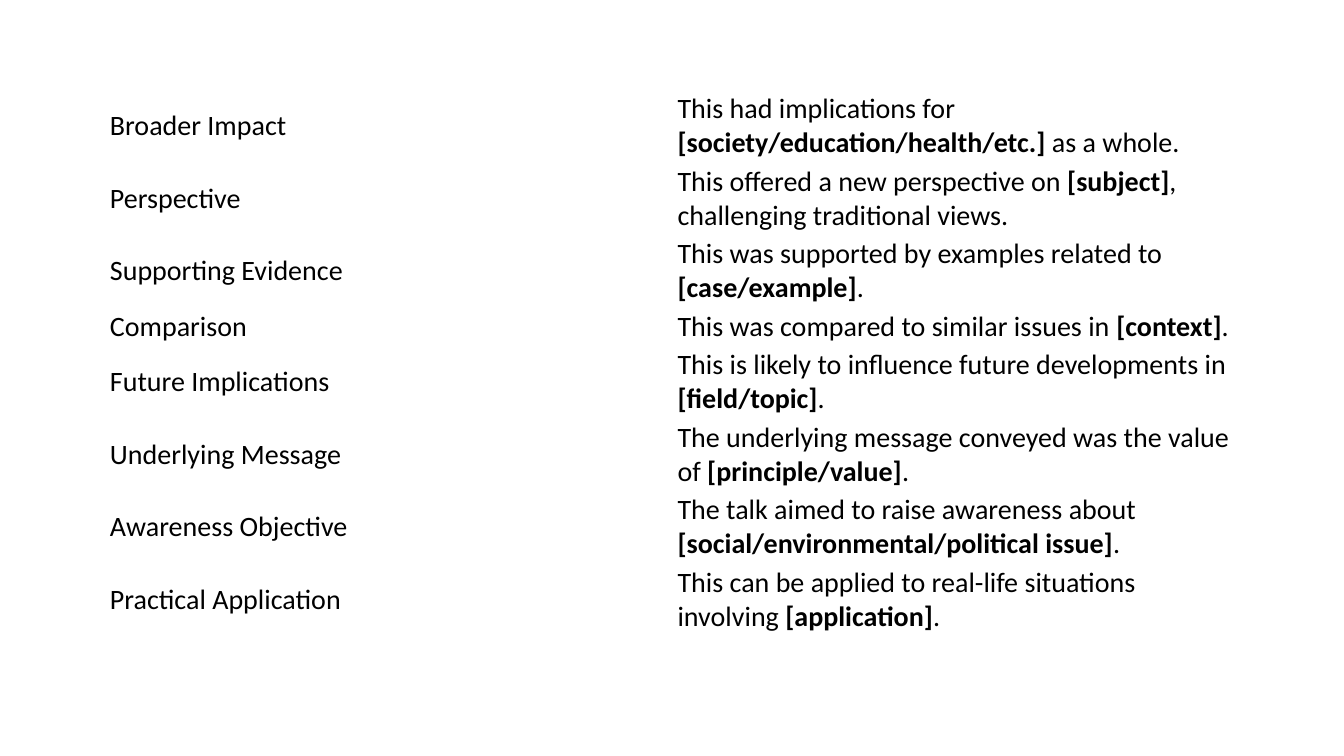
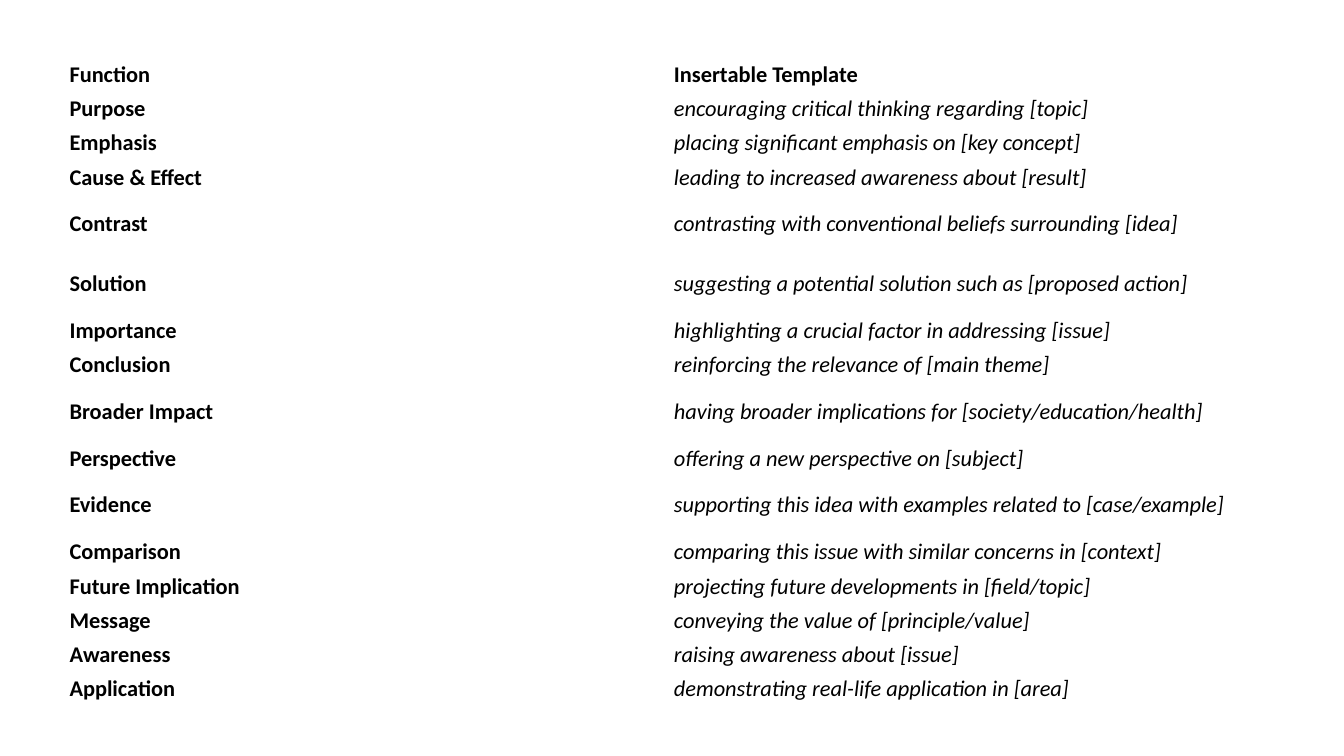
from dataclasses import dataclass
from pptx import Presentation as Deck
from pptx.dml.color import RGBColor as Rgb
from pptx.enum.text import MSO_ANCHOR as Anchor
from pptx.util import Pt

PX = 9144


@dataclass(frozen=True)
class Theme:
    font: str = "Calibri"
    ink: Rgb = Rgb(0, 0, 0)
    large: int = 20
    small: int = 16


THEME = Theme()
SIZE = (1333, 750)

TALKS = [
    ("Broader Impact", "This had implications for ", "[society/education/health/etc.]", " as a whole."),
    ("Perspective", "This offered a new perspective on ", "[subject]", ", challenging traditional views."),
    ("Supporting Evidence", "This was supported by examples related to ", "[case/example]", "."),
    ("Comparison", "This was compared to similar issues in ", "[context]", "."),
    ("Future Implications", "This is likely to influence future developments in ", "[field/topic]", "."),
    ("Underlying Message", "The underlying message conveyed was the value of ", "[principle/value]", "."),
    ("Awareness Objective", "The talk aimed to raise awareness about ", "[social/environmental/political issue]", "."),
    ("Practical Application", "This can be applied to real-life situations involving ", "[application]", "."),
]
HEAD = ("Function", "Insertable Template")
FORMS = [
    ("Purpose", "encouraging critical thinking regarding [topic]"),
    ("Emphasis", "placing significant emphasis on [key concept]"),
    ("Cause & Effect", "leading to increased awareness about [result]"),
    ("Contrast", "contrasting with conventional beliefs surrounding [idea]"),
    ("Solution", "suggesting a potential solution such as [proposed action]"),
    ("Importance", "highlighting a crucial factor in addressing [issue]"),
    ("Conclusion", "reinforcing the relevance of [main theme]"),
    ("Broader Impact", "having broader implications for [society/education/health]"),
    ("Perspective", "offering a new perspective on [subject]"),
    ("Evidence", "supporting this idea with examples related to [case/example]"),
    ("Comparison", "comparing this issue with similar concerns in [context]"),
    ("Future Implication", "projecting future developments in [field/topic]"),
    ("Message", "conveying the value of [principle/value]"),
    ("Awareness", "raising awareness about [issue]"),
    ("Application", "demonstrating real-life application in [area]"),
]
SHORT = {"Comparison"}
TALL = {"Contrast", "Solution", "Broader Impact", "Evidence"}


def fill_cell(cell, runs, size, pad):
    cell.fill.background()
    cell.vertical_anchor = Anchor.MIDDLE
    side, edge = (n * PX for n in pad)
    cell.margin_left = cell.margin_right = side
    cell.margin_top = cell.margin_bottom = edge
    para = cell.text_frame.paragraphs[0]
    for text, style in runs:
        run = para.add_run()
        run.text = text
        font = run.font
        font.name, font.size = THEME.font, Pt(size)
        font.color.rgb = THEME.ink
        font.bold, font.italic = style == "bold", style == "italic"


def add_grid(deck, box, rows, tall, size, pad):
    slide = deck.slides.add_slide(deck.slide_layouts[6])
    frame = slide.shapes.add_table(len(rows), 2, *(n * PX for n in box))
    table = frame.table
    table.first_row = table.horz_banding = False
    for line, cells, height in zip(table.rows, rows, tall):
        line.height = height * PX
        for cell, runs in zip(line.cells, cells):
            fill_cell(cell, runs, size, pad)
    frame.height = box[3] * PX


def main():
    deck = Deck()
    deck.slide_width, deck.slide_height = (n * PX for n in SIZE)

    talks = [
        ([(name, "")], [(lead, ""), (slot, "bold"), (tail, "")])
        for name, lead, slot, tail in TALKS
    ]
    tall = [30 if row[0] in SHORT else 52 for row in TALKS]
    add_grid(deck, (104, 89, 1126, 538), talks, tall, THEME.large, (5, 2))

    forms = [[[(text, "bold")] for text in HEAD]]
    forms += [([(name, "bold")], [(text, "italic")]) for name, text in FORMS]
    tall = [59 if name in TALL else 34 for name, _ in [HEAD, *FORMS]]
    add_grid(deck, (63, 57, 1199, 643), forms, tall, THEME.small, (6, 3))

    deck.save("out.pptx")


if __name__ == "__main__":
    main()
